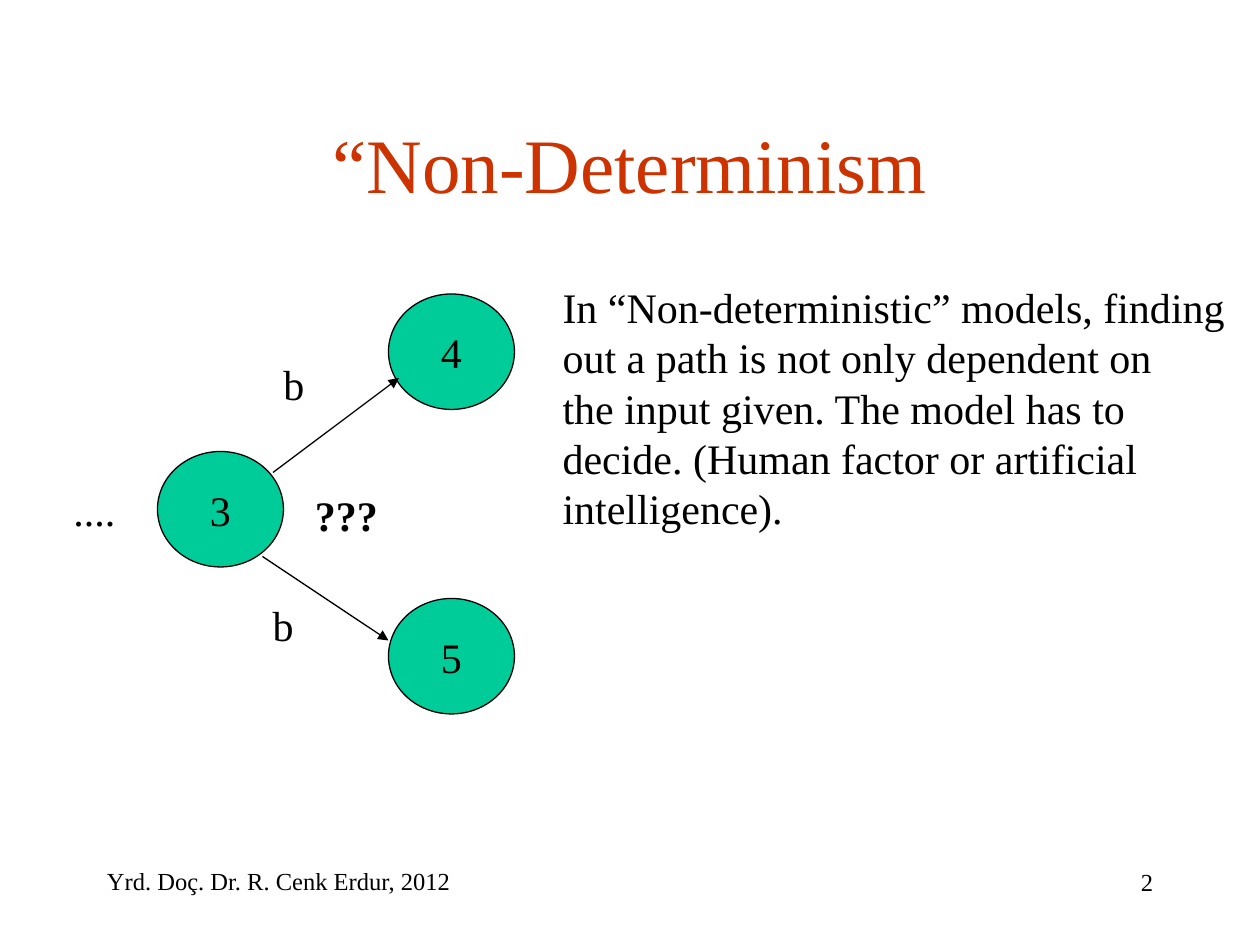
from pptx import Presentation
from pptx.dml.color import RGBColor
from pptx.enum.shapes import MSO_CONNECTOR as Connector, MSO_SHAPE as Shape
from pptx.enum.text import MSO_ANCHOR as Anchor, MSO_AUTO_SIZE as AutoSize, PP_ALIGN as Align
from pptx.oxml.ns import qn
from pptx.util import Inches, Pt
from lxml.etree import SubElement

BLACK = RGBColor(0x00, 0x00, 0x00)
GREEN = RGBColor(0x00, 0xCC, 0x99)
RED = RGBColor(0xCC, 0x33, 0x00)
LINE_WIDTH = Pt(0.74)

presentation = Presentation()
presentation.slide_width = Inches(10)
presentation.slide_height = Inches(7.5)
CELL = presentation.slide_width / 120
slide = presentation.slides.add_slide(presentation.slide_layouts[5])


def cells(*counts):
    return [round(count * CELL) for count in counts]


def write(shape, lines, size=24, color=BLACK, align=Align.LEFT, bold=False, **frame_format):
    frame = shape.text_frame
    frame.text = "\n".join(lines)
    for name, value in frame_format.items():
        setattr(frame, name, value)
    for paragraph in frame.paragraphs:
        paragraph.alignment = align
        font = paragraph.runs[0].font
        font_format = {"name": "Times New Roman", "size": Pt(size), "bold": bold}
        for name, value in font_format.items():
            setattr(font, name, value)
        font.color.rgb = color


title = slide.shapes.title
title.left, title.top, title.width, title.height = cells(9, 8, 102, 15)
write(title, ["“Non-Determinism"], 44, RED, Align.CENTER, vertical_anchor=Anchor.MIDDLE)

footers = [
    ("Yrd. Doç. Dr. R. Cenk Erdur, 2012", (9, 81.9, 70, 6), Align.LEFT),
    ("2", (86, 82, 25, 6), Align.RIGHT),
]
for text, place, align in footers:
    footer = slide.shapes.add_textbox(*cells(*place))
    write(footer, [text], 14, align=align, word_wrap=True)

states = [("3", 15, 43), ("4", 37, 28), ("5", 37, 57)]
for number, column, row in states:
    state = slide.shapes.add_shape(Shape.OVAL, *cells(column, row, 12, 11))
    state.shadow.inherit = False
    state.fill.solid()
    state.fill.fore_color.rgb = GREEN
    state.line.color.rgb = BLACK
    state.line.width = LINE_WIDTH
    write(state, [number], align=Align.CENTER, word_wrap=False, vertical_anchor=Anchor.MIDDLE)

transitions = [(26, 45, 38, 36), (25, 53, 37, 61)]
for ends in transitions:
    arrow = slide.shapes.add_connector(Connector.STRAIGHT, *cells(*ends))
    arrow.line.color.rgb = BLACK
    arrow.line.width = LINE_WIDTH
    SubElement(arrow.line._get_or_add_ln(), qn("a:tailEnd"), type="triangle")
    SubElement(arrow._element.spPr, qn("a:effectLst"))

explanation = [
    "In “Non-deterministic” models, finding",
    "out a path is not only dependent on",
    "the input given. The model has to",
    "decide. (Human factor or artificial",
    "intelligence).",
]
labels = [
    (["b"], (25.8, 33.6, 4.3, 6), False),
    (["b"], (24.8, 56.5, 4.3, 6), False),
    (["...."], (5.8, 45.6, 6.4, 6), False),
    (explanation, (52.4, 26.2, 65.5, 25.2), False),
    (["???"], (28.8, 46, 9.5, 6), True),
]
for lines, place, bold in labels:
    label = slide.shapes.add_textbox(*cells(*place))
    write(label, lines, bold=bold, word_wrap=bold, auto_size=AutoSize.SHAPE_TO_FIT_TEXT)

presentation.save("out.pptx")
